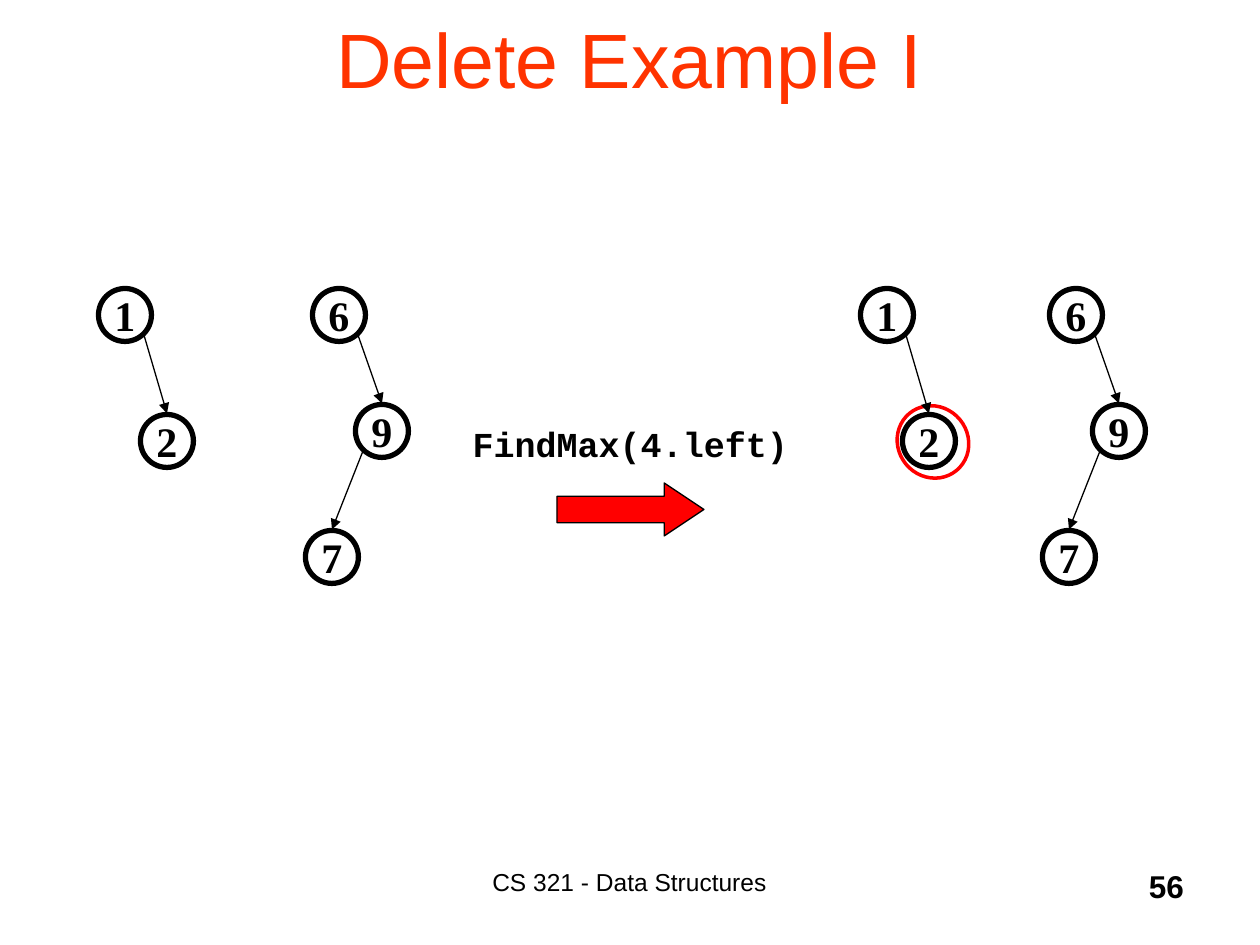
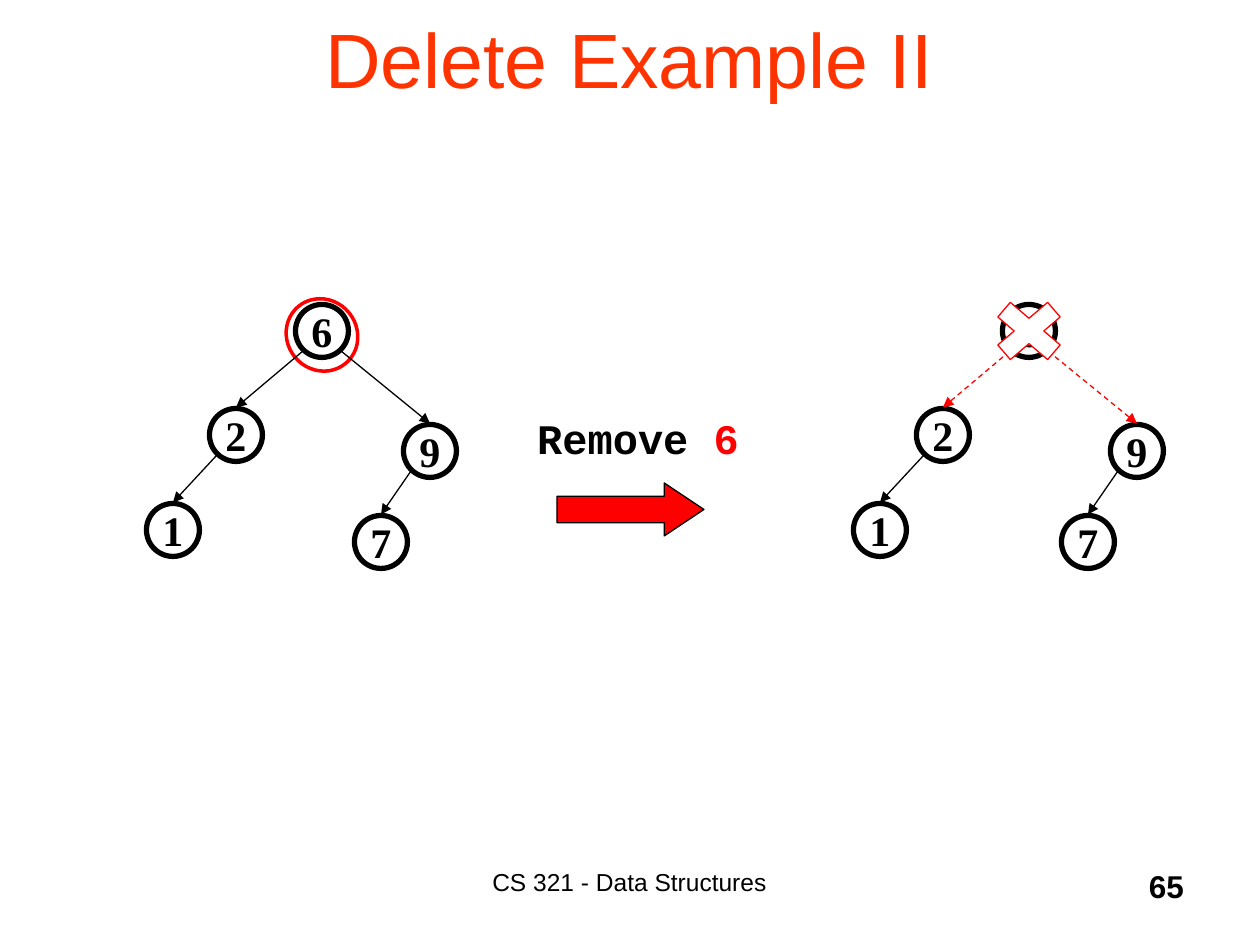
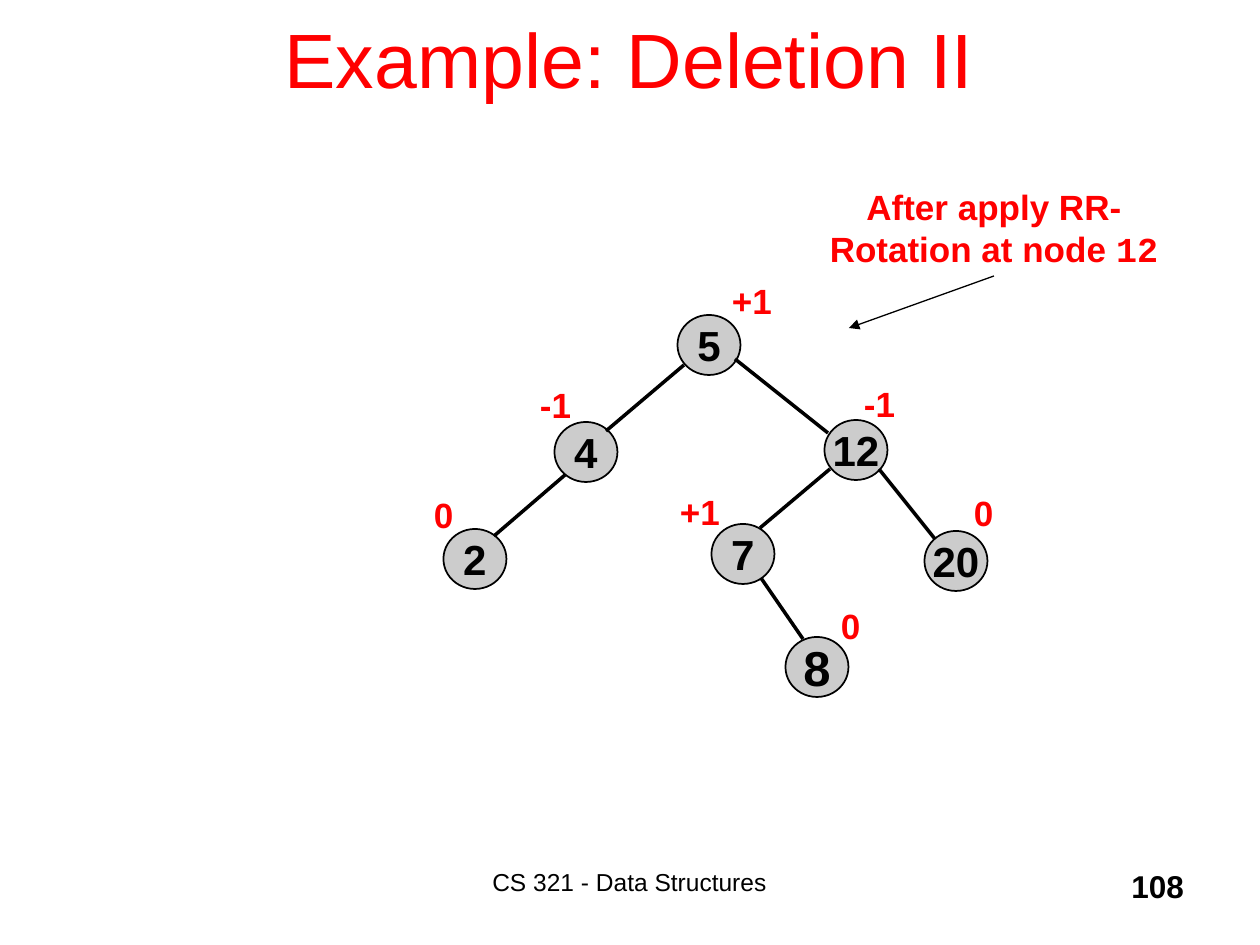
from lxml import etree
from pptx import Presentation
from pptx import util as u
from pptx.dml.color import RGBColor
from pptx.enum import dml, shapes, text
from pptx.oxml.ns import qn

BLACK = RGBColor(0x00, 0x00, 0x00)
WHITE = RGBColor(0xFF, 0xFF, 0xFF)
RED = RGBColor(0xFF, 0x00, 0x00)
ORANGE = RGBColor(0xFF, 0x33, 0x00)
GREY = RGBColor(0xCC, 0xCC, 0xCC)

SANS, SERIF, MONO = "Arial", "Times New Roman", "Courier New"
LEFT, CENTER, RIGHT = text.PP_ALIGN.LEFT, text.PP_ALIGN.CENTER, text.PP_ALIGN.RIGHT
TOP, MIDDLE = text.MSO_ANCHOR.TOP, text.MSO_ANCHOR.MIDDLE

SCALE = 914400 / 126  # EMU per px


def px(value):
    return u.Emu(round(value * SCALE))


def write(frame, *runs, size=20, font=SANS, color=BLACK, bold=True,
          align=CENTER, anchor=TOP, wrap=True):
    """Fill a frame; a run is a string or (string, {font, color})."""
    frame.margin_left = frame.margin_right = 0
    frame.margin_top = frame.margin_bottom = 0
    frame.word_wrap = wrap
    frame.vertical_anchor = anchor
    paragraph = frame.paragraphs[0]
    paragraph.alignment = align
    for item in runs:
        words, own = (item, {}) if isinstance(item, str) else item
        run = paragraph.add_run()
        run.text = words
        run.font.size = u.Pt(size)
        run.font.bold = bold
        run.font.name = own.get("font", font)
        run.font.color.rgb = own.get("color", color)


class Deck:
    NODE = 53            # diameter of a search tree node
    SHOULDER = (19, 20)  # where an edge leaves its parent, from the centre

    def __init__(self):
        self.prs = Presentation()
        self.prs.slide_width, self.prs.slide_height = px(1260), px(945)
        self.slide = None

    def start(self, title, number, color=ORANGE):
        self.slide = self.prs.slides.add_slide(self.prs.slide_layouts[6])
        self.label(title, 94, -21, 1071, 158, size=44, bold=False,
                   color=color, anchor=MIDDLE)
        self.label("CS 321 - Data Structures", 388, 867, 483, 51, size=14, bold=False)
        self.label(str(number), 948, 867, 236, 51, size=18, align=RIGHT)

    def label(self, runs, x, y, w, h, **style):
        box = self.slide.shapes.add_textbox(px(x), px(y), px(w), px(h))
        write(box.text_frame, *([runs] if isinstance(runs, str) else runs), **style)

    def shape(self, kind, x, y, w, h, fill=None, line=BLACK, width=0.75):
        shape = self.slide.shapes.add_shape(kind, px(x), px(y), px(w), px(h))
        shape.shadow.inherit = False
        if fill is None:
            shape.fill.background()
        else:
            shape.fill.solid()
            shape.fill.fore_color.rgb = fill
        shape.line.color.rgb = line
        shape.line.width = u.Pt(width)
        return shape

    def line(self, start, end, color=BLACK, width=0.75, dashed=False, arrow=True):
        line = self.slide.shapes.add_connector(
            shapes.MSO_CONNECTOR.STRAIGHT, *map(px, (*start, *end)))
        line.line.color.rgb = color
        line.line.width = u.Pt(width)
        if dashed:
            line.line.dash_style = dml.MSO_LINE.DASH
        properties = line._element.spPr
        if arrow:
            etree.SubElement(properties.find(qn("a:ln")), qn("a:tailEnd"), type="triangle")
        etree.SubElement(properties, qn("a:effectLst"))

    def node(self, key, cx, cy, w=NODE, h=NODE, size=24, font=SERIF, **look):
        circle = self.shape(shapes.MSO_SHAPE.OVAL, cx - w / 2, cy - h / 2, w, h, **look)
        write(circle.text_frame, key, size=size, font=font, anchor=MIDDLE, wrap=False)

    def tree(self, nodes, edges, shift=0, removed=None):
        """Draw nodes {key: centre} and parent-child edges, moved right by shift."""
        for key, (cx, cy) in nodes.items():
            self.node(key, cx + shift, cy, width=3)
        dx, dy = self.SHOULDER
        for parent, child in edges:
            (x1, y1), (x2, y2) = nodes[parent], nodes[child]
            side = dx if x2 > x1 else -dx
            gone = parent == removed
            self.line((x1 + side + shift, y1 + dy), (x2 + shift, y2 - self.NODE / 2 - 1),
                      color=RED if gone else BLACK, dashed=gone)

    def ring(self, cx, cy):
        ring = self.shape(shapes.MSO_SHAPE.OVAL, cx - 35, cy - 37, 70, 74,
                          line=RED, width=2)
        ring.rotation = 320.5

    def step_arrow(self):
        arrow = self.shape(shapes.MSO_SHAPE.RIGHT_ARROW, 557, 483, 147, 53, fill=RED)
        arrow.adjustments[0], arrow.adjustments[1] = 0.5, 0.75


def find_max(deck):
    deck.start("Delete Example I", 56)
    deck.label("FindMax(4.left)", 460, 422, 341, 43, font=MONO)
    deck.step_arrow()
    deck.ring(933, 442)

    # Left and right subtrees, before and after the step
    smaller = {"1": (125, 315), "2": (167, 441)}
    larger = {"6": (339, 315), "9": (382, 431), "7": (332, 557)}
    for smaller_shift, larger_shift in ((0, 0), (762, 737)):
        deck.tree(smaller, ["12"], smaller_shift)
        deck.tree(larger, ["69", "97"], larger_shift)


def remove_root(deck):
    deck.start("Delete Example II", 65)
    deck.label(["Remove ", ("6", {"color": RED})], 509, 413, 258, 51, size=24, font=MONO)
    deck.step_arrow()
    deck.ring(322, 335)

    # Tree before and after the removal
    nodes = {"6": (322, 331), "2": (236, 435), "1": (173, 530),
             "9": (430, 451), "7": (381, 542)}
    edges = ["62", "69", "21", "97"]
    deck.tree(nodes, edges)
    deck.tree(nodes, edges, shift=707, removed="6")
    deck.shape(shapes.MSO_SHAPE.MATH_MULTIPLY, 981, 290, 96, 82, fill=WHITE, line=RED)


def rotation(deck):
    deck.start("Example: Deletion II", 108, color=RED)

    # Nodes: key, centre, balance factor, left and top of the balance factor
    for key, cx, cy, balance, x, y in (
            ("5", 709, 345, "+1", 732, 279),
            ("12", 856, 450, "-1", 864, 382),
            ("4", 586, 452, "-1", 540, 383),
            ("2", 475, 559, "0", 434, 493),
            ("20", 956, 561, "0", 974, 491),
            ("8", 817, 667, "0", 841, 604),
            ("7", 743, 554, "+1", 680, 490)):
        deck.node(key, cx, cy, 63, 60, size=28 if key == "8" else 24,
                  font=SANS, fill=GREY, width=1)
        deck.label(balance, x, y, 50, 43, color=RED, align=LEFT)

    # Edges
    for start, end in (
            ((684, 365), (606, 431)), ((565, 475), (494, 536)),
            ((735, 359), (828, 433)), ((761, 578), (803, 639)),
            ((879, 469), (935, 539)), ((830, 469), (760, 528))):
        deck.line(start, end, width=2, arrow=False)

    # Remark
    deck.label(["After apply RR-Rotation at node ", ("12", {"font": MONO})],
               827, 185, 334, 85, color=RED)
    deck.line((994, 276), (849, 328))


def main():
    deck = Deck()
    find_max(deck)
    remove_root(deck)
    rotation(deck)
    deck.prs.save("out.pptx")


if __name__ == "__main__":
    main()
